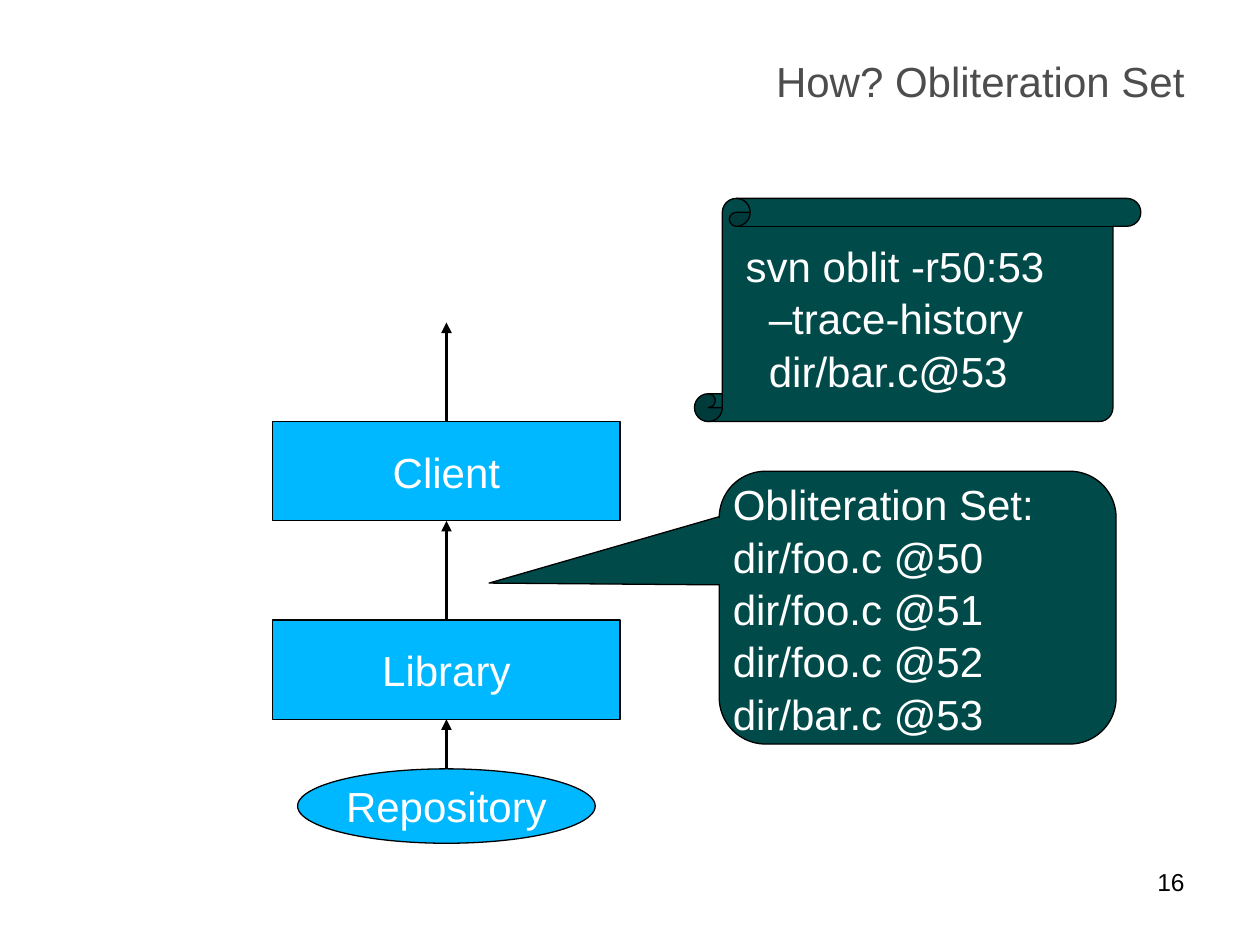
from dataclasses import dataclass
from typing import Any

from lxml.etree import SubElement
from pptx import Presentation
from pptx.dml.color import RGBColor
from pptx.enum.shapes import MSO_CONNECTOR, MSO_SHAPE
from pptx.enum.text import MSO_ANCHOR, PP_ALIGN
from pptx.oxml.ns import qn
from pptx.util import Cm, Inches, Pt

BLACK, WHITE, GREY = "000000", "FFFFFF", "4D4D4D"
BLUE, TEAL = "00B8FF", "004A4A"


def color(value):
    return RGBColor.from_string(value)


def apply(target, values):
    for name, value in values.items():
        setattr(target, name, value)


@dataclass
class Diagram:
    slide: Any
    unit: int = Cm(0.5)
    font: str = "Arial"
    size: int = 24

    def grid(self, *cells):
        return [round(cell * self.unit) for cell in cells]

    def fill_text(self, shape, lines, ink, size, align, anchor, margins, spacing=None):
        frame = shape.text_frame
        horizontal, vertical = map(Inches, margins)
        apply(frame, {
            "word_wrap": True, "vertical_anchor": anchor,
            "margin_left": horizontal, "margin_right": horizontal,
            "margin_top": vertical, "margin_bottom": vertical,
        })
        for index, line in enumerate(lines):
            paragraph = frame.add_paragraph() if index else frame.paragraphs[0]
            apply(paragraph, {"alignment": align, "line_spacing": spacing})
            run = paragraph.add_run()
            run.text = line
            apply(run.font, {"name": self.font, "size": Pt(size)})
            run.font.color.rgb = color(ink)

    def outline(self, line):
        line.color.rgb = color(BLACK)
        line.width = Pt(0)

    def shape(self, kind, cells, fill, lines, align=PP_ALIGN.CENTER,
              adjustments=(), spacing=None):
        shape = self.slide.shapes.add_shape(kind, *self.grid(*cells))
        shape.shadow.inherit = False
        shape.fill.solid()
        shape.fill.fore_color.rgb = color(fill)
        self.outline(shape.line)
        for index, value in enumerate(adjustments):
            shape.adjustments[index] = value
        self.fill_text(shape, lines, WHITE, self.size, align,
                       MSO_ANCHOR.MIDDLE, (0, 0), spacing)

    def label(self, cells, text, ink, size, anchor):
        box = self.slide.shapes.add_textbox(*self.grid(*cells))
        self.fill_text(box, [text], ink, size, PP_ALIGN.RIGHT, anchor, (0.1, 0.05))

    def arrow_up(self, column, start, end):
        arrow = self.slide.shapes.add_connector(
            MSO_CONNECTOR.STRAIGHT, *self.grid(column, start, column, end))
        self.outline(arrow.line)
        properties = arrow._element.spPr
        SubElement(properties.find(qn("a:ln")), qn("a:tailEnd"), type="triangle")
        SubElement(properties, qn("a:effectLst"))


def main():
    presentation = Presentation()
    apply(presentation, {"slide_width": Inches(10), "slide_height": Inches(7.5)})
    diagram = Diagram(presentation.slides.add_slide(presentation.slide_layouts[6]))

    diagram.label((9, 1.27, 39.26, 4), "How? Obliteration Set", GREY, 24,
                  MSO_ANCHOR.MIDDLE)
    diagram.shape(
        MSO_SHAPE.ROUNDED_RECTANGULAR_CALLOUT, (29, 19, 16, 11), TEAL,
        ["Obliteration Set:", "dir/foo.c @50", "dir/foo.c @51",
         "dir/foo.c @52", "dir/bar.c @53"],
        PP_ALIGN.LEFT, (-1.08, -0.09, 0.17), 1.04)
    diagram.shape(
        MSO_SHAPE.VERTICAL_SCROLL, (28, 8, 18, 9), TEAL,
        ["  svn oblit -r50:53", "    –trace-history", "    dir/bar.c@53"],
        PP_ALIGN.LEFT, (0.125,), 1.04)

    for row, name in ((17, "Client"), (25, "Library")):
        diagram.shape(MSO_SHAPE.RECTANGLE, (11, row, 14, 4), BLUE, [name])
    diagram.shape(MSO_SHAPE.OVAL, (12, 31, 12, 3), BLUE, ["Repository"])
    for start, end in ((17, 13), (25, 21), (31, 29)):
        diagram.arrow_up(18, start, end)

    diagram.label((36.4, 34.7, 11.86, 2.64), "16", BLACK, 14, MSO_ANCHOR.TOP)
    presentation.save("out.pptx")


if __name__ == "__main__":
    main()
